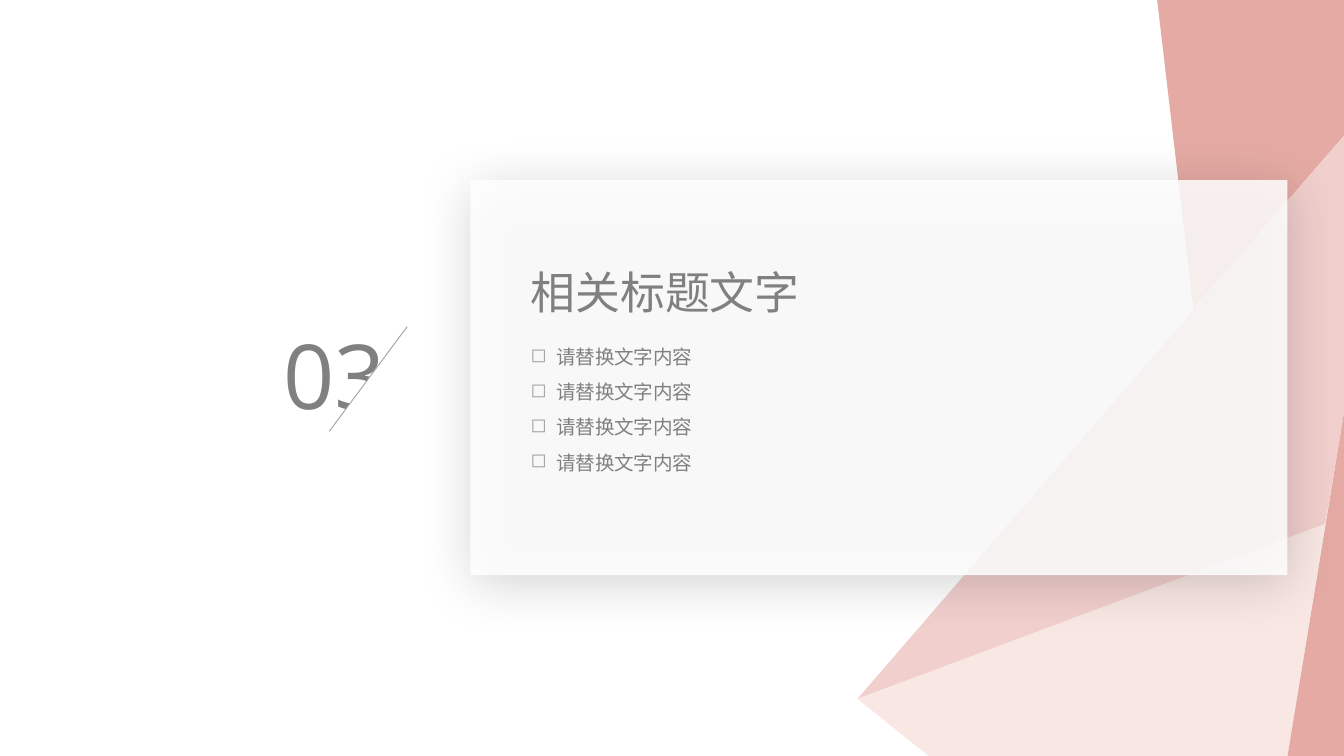
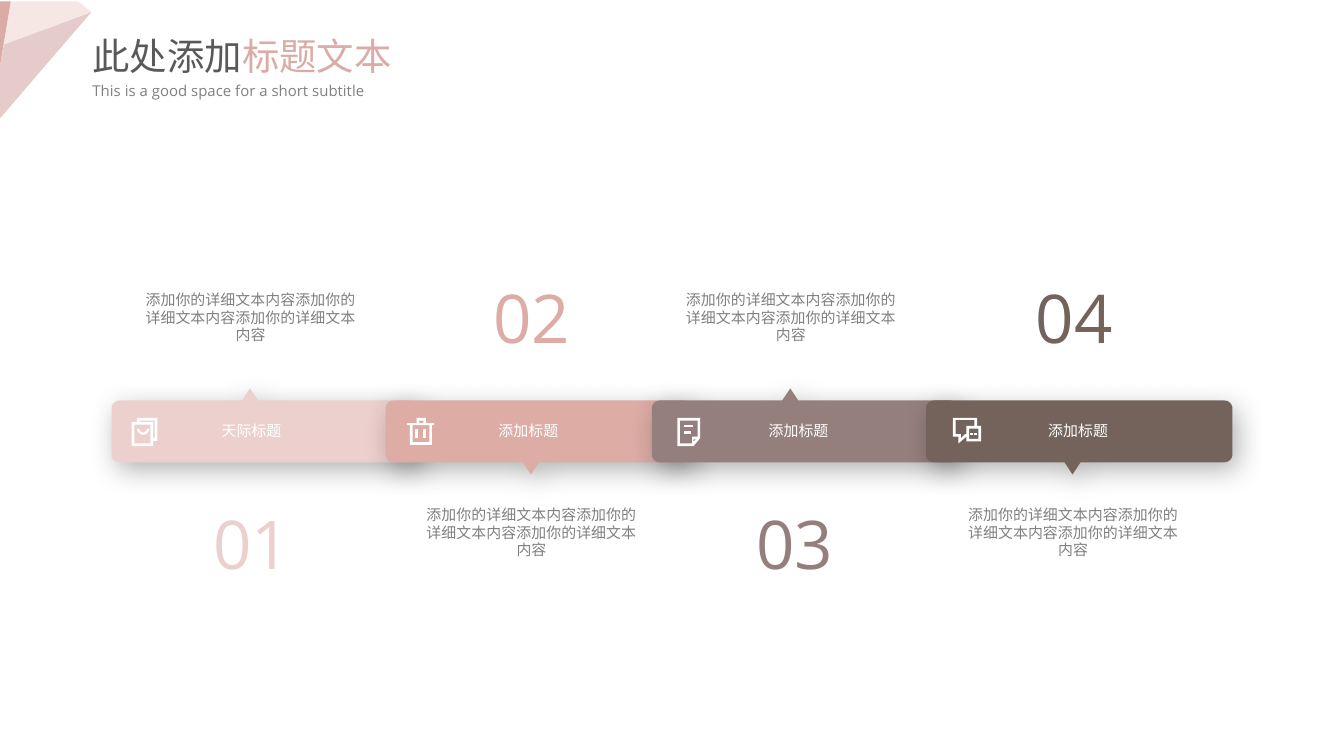
from dataclasses import dataclass
from math import cos, radians, sin

from lxml import etree
from pptx import Presentation, util as u
from pptx.dml.color import RGBColor
from pptx.enum import shapes, text
from pptx.oxml.ns import qn


@dataclass(frozen=True)
class Theme:
    font: str = "Open Sans"
    white: str = "FFFFFF"
    black: str = "000000"
    gray: str = "808080"
    dark: str = "595959"
    rule: str = "A5A5A5"
    rose: str = "E5AAA4"
    blush: str = "F1CFCD"
    cream: str = "F9E7E3"
    corner_rose: str = "DBACA5"
    corner_blush: str = "E5CBC9"
    corner_cream: str = "F6E7E4"
    section_no: float = 48
    step_no: float = 36
    section_title: float = 24
    title: float = 20
    bullet: float = 10.5
    small: float = 8


T = Theme()


@dataclass(frozen=True)
class Step:
    """One bar; horizontal places are measured from its left edge."""
    number: str
    title: str
    color: str
    x: float
    tip: float
    up: bool
    icon_x: float
    title_x: float
    number_x: float
    icon: tuple


def arc(cx, cy, r, start, end, steps=8):
    angles = [radians(start + (end - start) * i / steps) for i in range(steps + 1)]
    return [(cx + r * cos(a), cy + r * sin(a)) for a in angles]


def rect(x, y, w, h):
    return [(x, y), (x + w, y), (x + w, y + h), (x, y + h)]


# Icons: (outline with its holes, small solid bars), in hundredths of an inch.
BAG = (
    [[(19, 0), (4, 0), (4, 3), (0, 3), (0, 21), (16, 21), (16, 17), (19, 17)],
     rect(2, 5, 12, 14),
     [(17, 15), (16, 15), (16, 3), (6, 3), (6, 2), (17, 2)]],
    [arc(8.5, 8, 4.5, 180, 0) + arc(8.5, 8, 2.8, 0, 180)],
)
BIN = (
    [[(20, 4), (14, 4), (14, 0), (7, 0), (7, 4), (0, 4), (0, 5.5), (2, 5.5),
      (2, 20), (18.5, 20), (18.5, 5.5), (20, 5.5)],
     rect(9, 2, 3, 2), rect(4, 5.5, 12.5, 12.5)],
    [rect(6, 8, 2, 7), rect(12, 8, 2, 7)],
)
NOTE = (
    [[(0, 0), (0, 21), (12, 21), (17, 15), (17, 0)],
     [(2, 2), (15, 2), (15, 14), (11, 14), (11, 19), (2, 19)],
     [(14, 16), (12, 17.5), (12, 16)]],
    [rect(5, 5, 7, 2), rect(5, 10, 5, 2)],
)
CHAT = (
    [[(18, 6), (18, 0), (0, 0), (0, 14), (4, 14), (4, 19), (10, 14), (10, 17.5),
      (21, 17.5), (21, 6)],
     [(9, 12), (6, 15), (6, 12), (2, 12), (2, 1.5), (16, 1.5), (16, 6), (10, 6), (10, 12)],
     rect(12, 8, 7, 7.5)],
    [rect(13, 11, 2, 2), rect(16, 11, 2, 2)],
)

STEPS = [
    Step("01", "天际标题", "ECD0CD", 0, 1.03, True, 0.15, 0.72, 0.66, BAG),
    Step("02", "添加标题", "DCACA5", 2.04, 1.08, False, 0.16, 0.74, 0.70, BIN),
    Step("03", "添加标题", "957F7C", 4.02, 1.03, True, 0.19, 0.77, 0.68, NOTE),
    Step("04", "添加标题", "73635B", 6.06, 1.09, False, 0.20, 0.81, 0.72, CHAT),
]
CAPTION = "添加你的详细文本内容" * 3


def rgb(color):
    return RGBColor.from_string(color)


def paint(sp, color):
    sp.shadow.inherit = False
    sp.fill.solid()
    sp.fill.fore_color.rgb = rgb(color)
    sp.line.fill.background()
    return sp


def set_alpha(clr, percent):
    etree.SubElement(clr, qn("a:alpha"), val=str(percent * 1000))


def cast_shadow(sp, alpha, blur, dist, angle):
    effects = sp._element.spPr.find(qn("a:effectLst"))
    shadow = etree.SubElement(
        effects, qn("a:outerShdw"), blurRad=str(u.Pt(blur)), dist=str(u.Pt(dist)),
        dir=str(angle * 60000), algn="ctr", rotWithShape="0")
    set_alpha(etree.SubElement(shadow, qn("a:srgbClr"), val=T.black), alpha)


def polygon(s, contours, color, x=0, y=0, unit=1):
    """Fill closed contours as one shape; inner contours become holes."""
    placed = [[(u.Inches(x + px * unit), u.Inches(y + py * unit)) for px, py in c]
              for c in contours]
    fb = s.shapes.build_freeform(*placed[0][0])
    for i, pts in enumerate(placed):
        if i:
            fb.move_to(*pts[0])
        fb.add_line_segments(pts[1:], close=True)
    return paint(fb.convert_to_shape(), color)


def write(s, box, lines, size, color, wrap=True, align=None, inset=True):
    tf = s.shapes.add_textbox(*map(u.Inches, box)).text_frame
    tf.word_wrap = wrap
    tf.auto_size = text.MSO_AUTO_SIZE.SHAPE_TO_FIT_TEXT
    if not inset:
        tf.margin_left = tf.margin_right = tf.margin_top = tf.margin_bottom = 0
    tf.text = "\n".join(lines)
    for p in tf.paragraphs:
        p.alignment = align
        p.font.name, p.font.size = T.font, u.Pt(size)
        p.font.color.rgb = rgb(color)
    return tf


def add_bullets(tf, indent=0.19):
    for p in tf.paragraphs:
        p.line_spacing = 1.5
        pPr = p._p.get_or_add_pPr()
        pPr.set("marL", str(u.Inches(indent)))
        pPr.set("indent", str(-u.Inches(indent)))
        bu_color = etree.Element(qn("a:buClr"))
        etree.SubElement(bu_color, qn("a:srgbClr"), val=T.rule)
        mark = etree.Element(qn("a:buChar"), char="◻")
        for el in (bu_color, mark):
            pPr.find(qn("a:defRPr")).addprevious(el)


def section_facets(s, w, h):
    tip, fold, edge = (6.38, 5.2), (9.86, 3.9), (w, 3.07)
    top, foot = (w, 1.01), (9.58, h)
    polygon(s, [[(8.88, 2.3), (8.61, 0), (w, 0), top]], T.rose)
    polygon(s, [[tip, fold, edge, top]], T.blush)
    polygon(s, [[tip, (6.91, h), foot, fold]], T.cream)
    polygon(s, [[foot, (w, h), edge]], T.rose)


def section_panel(s, x, y, w, h):
    sp = s.shapes.add_shape(shapes.MSO_SHAPE.RECTANGLE, *map(u.Inches, (x, y, w, h)))
    paint(sp, T.white)
    set_alpha(sp._element.spPr.find(qn("a:solidFill"))[0], 85)
    cast_shadow(sp, 20, 29, 5, 77)
    write(s, (x + 0.35, y + 0.58, 2.22, 0.5), ["相关标题文字"], T.section_title, T.gray, wrap=False)
    add_bullets(write(s, (x + 0.35, y + 1.09, 2.5, 1.13), ["请替换文字内容"] * 4,
                      T.bullet, T.gray))


def section_number(s, x, y):
    """Number whose lower right is cut off along a thin slanted line."""
    write(s, (x, y, 0.98, 0.91), ["03"], T.section_no, T.gray)
    left, top, right, bottom = x + 0.44, y + 0.1, x + 1.02, y + 0.88
    polygon(s, [[(right, top), (right, bottom), (left, bottom)]], T.white)
    cut = s.shapes.add_connector(shapes.MSO_CONNECTOR.STRAIGHT,
                                 *map(u.Inches, (right, top, left, bottom)))
    cut.line.color.rgb = rgb(T.rule)
    cut.line.width = u.Pt(0.5)
    etree.SubElement(cut._element.spPr, qn("a:effectLst"))


def page_header(s, x, y):
    tip, fold, low = (0.68, 0.09), (0.03, 0.33), (0, 0.49)
    polygon(s, [[tip, fold, low, (0, 0.88)]], T.corner_blush)
    polygon(s, [[tip, (0.58, 0.01), (0.08, 0.01), fold]], T.corner_cream)
    polygon(s, [[(0.08, 0.01), (0, 0.01), low]], T.corner_rose)
    tf = write(s, (x, y, 2.45, 0.44), ["此处添加"], T.title, T.dark, wrap=False)
    r = tf.paragraphs[0].add_run()
    r.text = "标题文本"
    r.font.color.rgb = rgb(T.corner_rose)
    write(s, (x, y + 0.36, 2.27, 0.24), ["This is a good space for a short subtitle"],
          T.small, T.gray, wrap=False)


def step_bar(s, step, x, y, w, h, radius=0.06):
    """Rounded bar with a small pointer on its upper or lower edge."""
    right, bottom, tip = x + w, y + h, x + step.tip
    base = y if step.up else bottom
    pointer = [(tip - 0.06, base), (tip, base + (-0.09 if step.up else 0.09)),
               (tip + 0.06, base)]
    upper, lower = (pointer, []) if step.up else ([], pointer[::-1])
    outline = (arc(x + radius, y + radius, radius, 180, 270) + upper
               + arc(right - radius, y + radius, radius, 270, 360)
               + arc(right - radius, bottom - radius, radius, 0, 90) + lower
               + arc(x + radius, bottom - radius, radius, 90, 180))
    cast_shadow(polygon(s, [outline], step.color), 30, 15, 5, 55)


def step_content(s, step, x, y):
    outline, bars = step.icon
    for contours in [outline] + [[bar] for bar in bars]:
        polygon(s, contours, T.white, x + step.icon_x, y + 0.13, 0.01)
    write(s, (x + step.title_x, y + 0.11, 0.65, 0.24), [step.title], T.small, T.white, wrap=False)
    caption_y, number_y = (-0.82, 0.71) if step.up else (0.78, -0.97)
    write(s, (x + step.tip - 0.78, y + caption_y, 1.57, 0.4), [CAPTION], T.small, T.gray,
          align=text.PP_ALIGN.CENTER, inset=False)
    write(s, (x + step.number_x, y + number_y, 0.78, 0.71), [step.number],
          T.step_no, step.color, wrap=False)


def step_band(s, x, y, bar_w, bar_h):
    for step in STEPS:
        step_bar(s, step, x + step.x, y, bar_w, bar_h)
    for step in STEPS:
        step_content(s, step, x + step.x, y)


def main():
    prs = Presentation()
    prs.slide_width = u.Inches(10)
    prs.slide_height = prs.slide_width * 9 // 16
    section, process = (prs.slides.add_slide(prs.slide_layouts[6]) for _ in range(2))

    section_facets(section, prs.slide_width.inches, prs.slide_height.inches)
    section_panel(section, 3.5, 1.34, 6.08, 2.94)
    section_number(section, 2.01, 2.33)

    step_band(process, 0.83, 2.98, 2.28, 0.46)
    page_header(process, 0.59, 0.2)
    prs.save("out.pptx")


if __name__ == "__main__":
    main()
